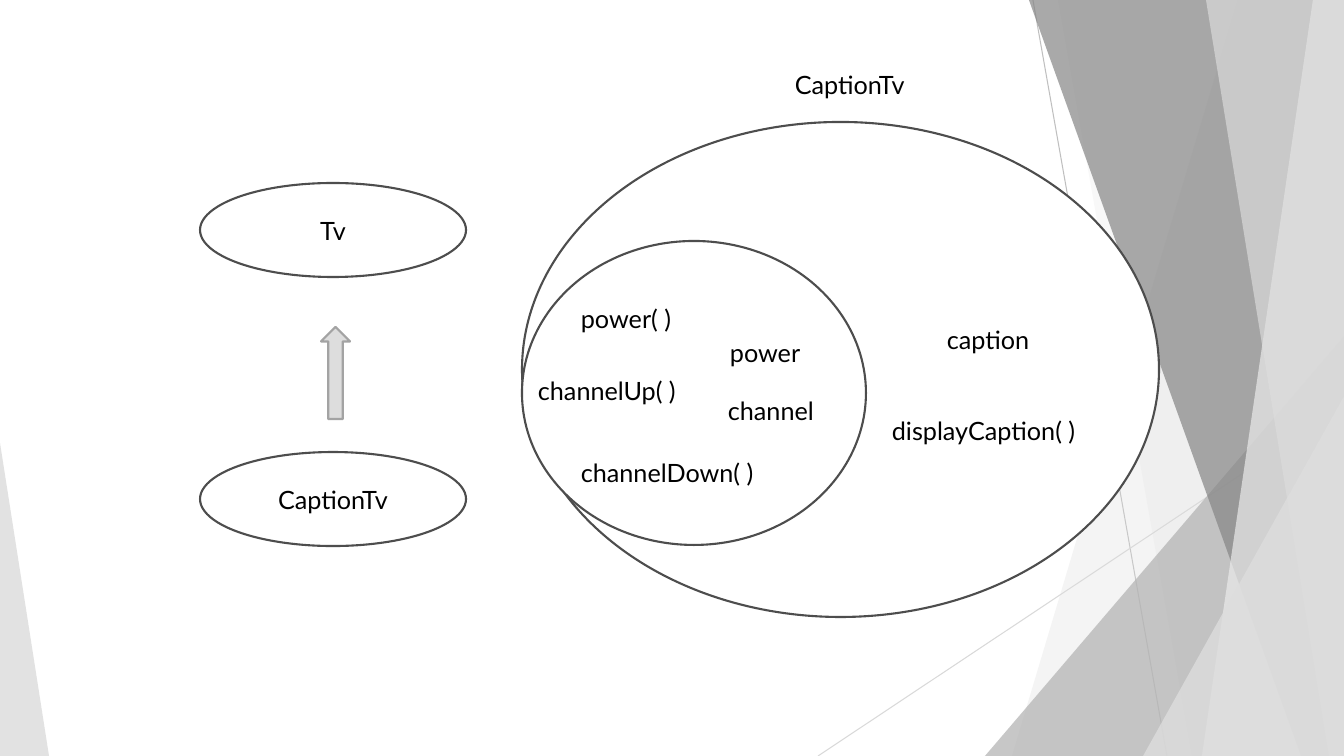
from pptx import Presentation
from pptx.dml.color import RGBColor
from pptx.enum.shapes import MSO_CONNECTOR, MSO_SHAPE
from pptx.enum.text import MSO_ANCHOR, PP_ALIGN
from pptx.oxml.ns import qn
from pptx.oxml.xmlchemy import OxmlElement
from pptx.util import Pt

PX = 914400 / 100.8
WIDTH, HEIGHT = 1344, 756


def px(*lengths):
    """Turn pixel lengths into a list of EMU."""
    return [round(length * PX) for length in lengths]


def write(shape, text, align=PP_ALIGN.LEFT, anchor=MSO_ANCHOR.TOP):
    frame = shape.text_frame
    frame.word_wrap = True
    frame.vertical_anchor = anchor
    paragraph = frame.paragraphs[0]
    paragraph.alignment = align
    run = paragraph.add_run()
    run.text = text
    run.font.size = Pt(18)
    run.font.name = "Lato"
    run.font.color.rgb = RGBColor.from_string("000000")


presentation = Presentation()
presentation.slide_width, presentation.slide_height = px(WIDTH, HEIGHT)
slide = presentation.slides.add_slide(presentation.slide_layouts[6])
shapes = slide.shapes

# Thin background lines
for ends, color in [
    ((1033, 0, 1167, 756), "BFBFBF"),
    ((1344, 406, 818, 756), "D9D9D9"),
]:
    line = shapes.add_connector(MSO_CONNECTOR.STRAIGHT, *px(*ends))
    line.line.color.rgb = RGBColor.from_string(color)
    line.line.width = Pt(0.75)
    line.element.spPr.append(OxmlElement("a:effectLst"))

# Translucent facets: a band runs from its slanted left side (top x, bottom x)
# to the slide edge; a triangle stands on the slide bottom (left, top, width, apex)
facets = [
    ("band", (1238, 1012), "DDDDDD", 30),
    ("band", (1058, 1192), "DDDDDD", 20),
    ("triangle", (985, 336, 359, 1), "B2B2B2", 72),
    ("band", (1029, 1301), "858585", 70),
    ("band", (1313, 1202), "EBEBEB", 70),
    ("band", (1206, 1329), "DDDDDD", 65),
    ("triangle", (1143, 396, 201, 1), "DDDDDD", 80),
    ("triangle", (0, 443, 49, 0), "DDDDDD", 85),
]
for kind, geometry, color, opacity in facets:
    if kind == "band":
        top_x, bottom_x = geometry
        builder = shapes.build_freeform(top_x, 0, scale=PX)
        builder.add_line_segments([(WIDTH, 0), (WIDTH, HEIGHT), (bottom_x, HEIGHT)])
        facet = builder.convert_to_shape()
    else:
        left, top, width, apex = geometry
        facet = shapes.add_shape(
            MSO_SHAPE.ISOSCELES_TRIANGLE, *px(left, top, width, HEIGHT - top))
        facet.adjustments[0] = apex
    facet.shadow.inherit = False
    facet.line.fill.background()
    facet.fill.solid()
    facet.fill.fore_color.rgb = RGBColor.from_string(color)
    alpha = OxmlElement("a:alpha")
    alpha.set("val", str(opacity * 1000))
    facet.element.spPr.find(qn("a:solidFill"))[0].append(alpha)

# Inheritance arrow, class ovals and member sets
figures = [
    (MSO_SHAPE.UP_ARROW, (321, 327, 29, 92), "DDDDDD", "A3A3A3", ""),
    (MSO_SHAPE.OVAL, (200, 183, 266, 94), "FFFFFF", "4D4D4D", "Tv"),
    (MSO_SHAPE.OVAL, (200, 452, 266, 94), "FFFFFF", "4D4D4D", "CaptionTv"),
    (MSO_SHAPE.OVAL, (522, 122, 637, 495), "FFFFFF", "4D4D4D", ""),
    (MSO_SHAPE.OVAL, (522, 241, 344, 304), "FFFFFF", "4D4D4D", ""),
]
for preset, box, fill, outline, text in figures:
    figure = shapes.add_shape(preset, *px(*box))
    figure.shadow.inherit = False
    figure.fill.solid()
    figure.fill.fore_color.rgb = RGBColor.from_string(fill)
    figure.line.color.rgb = RGBColor.from_string(outline)
    figure.line.width = Pt(1.5)
    if text:
        write(figure, text, align=PP_ALIGN.CENTER, anchor=MSO_ANCHOR.MIDDLE)

# Labels of the sets and their members
for text, left, top, width in [
    ("CaptionTv", 785, 64, 264),
    ("power( )", 571, 298, 119),
    ("channelUp( )", 528, 370, 166),
    ("channelDown( )", 571, 452, 214),
    ("power", 720, 332, 121),
    ("channel", 718, 390, 123),
    ("caption", 937, 319, 121),
    ("displayCaption( )", 882, 410, 256),
]:
    write(shapes.add_textbox(*px(left, top, width, 40)), text)

presentation.save("out.pptx")
